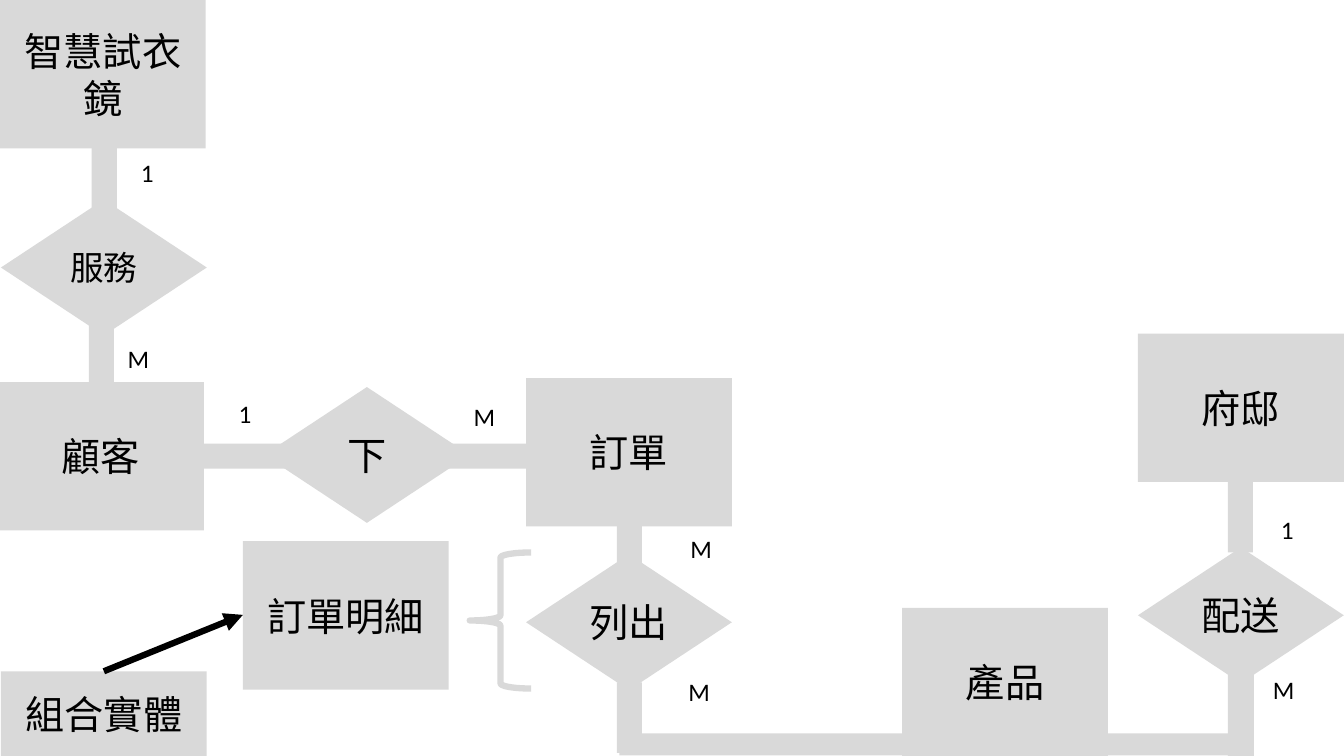
from typing import NamedTuple

from lxml import etree
from pptx import Presentation
from pptx.dml.color import RGBColor
from pptx.enum.shapes import MSO_CONNECTOR, MSO_SHAPE
from pptx.enum.text import MSO_ANCHOR, MSO_AUTO_SIZE, PP_ALIGN
from pptx.oxml.ns import qn
from pptx.util import Pt

RECTANGLE = MSO_SHAPE.RECTANGLE
DECISION = MSO_SHAPE.FLOWCHART_DECISION
LEFT_BRACE = MSO_SHAPE.LEFT_BRACE
STRAIGHT = MSO_CONNECTOR.STRAIGHT
MIDDLE = MSO_ANCHOR.MIDDLE
CENTER = PP_ALIGN.CENTER
LEFT = PP_ALIGN.LEFT
FIT_SHAPE = MSO_AUTO_SIZE.SHAPE_TO_FIT_TEXT

FONT = "Calibri"
GRAY = "D9D9D9"
BLACK = "000000"
NODE_WIDTH = 147
ENTITY_HEIGHT = 106
DECISION_HEIGHT = 97
LABEL_WIDTH, LABEL_HEIGHT = 67, 29
STROKE = 4.5


class Node(NamedTuple):
    text: str
    left: float
    top: float
    height: float = ENTITY_HEIGHT
    size: float = 28


class Bar(NamedTuple):
    left: float
    top: float
    width: float
    height: float


class Label(NamedTuple):
    text: str
    left: float
    top: float


ENTITIES = [
    Node("智慧試衣鏡", 0, 0),
    Node("顧客", -1.4, 272.9),
    Node("訂單", 375.8, 270),
    Node("產品", 644.4, 434.2),
    Node("府邸", 812.9, 238.3),
    Node("訂單明細", 173.5, 386.6),
    Node("組合實體", 0.7, 479.5, 60.5),
]

RELATIONSHIPS = [
    Node("服務", 0.7, 142.6, DECISION_HEIGHT, 24),
    Node("下", 188.6, 276.5, DECISION_HEIGHT),
    Node("列出", 375.8, 396, DECISION_HEIGHT),
    Node("配送", 812.9, 391, DECISION_HEIGHT),
]

BARS = [
    Bar(65.5, 105.8, 18, 52.6),
    Bar(63.4, 229, 18, 79.9),
    Bar(106.6, 316.8, 106, 18),
    Bar(290.9, 316.8, 106, 18),
    Bar(440.6, 337.7, 18, 69.1),
    Bar(440.6, 487.4, 18, 50.4),
    Bar(442.4, 523.8, 202.3, 15.8),
    Bar(700.2, 523.8, 195.1, 15.8),
    Bar(877, 479.5, 18.7, 60.5),
    Bar(877, 342.7, 18, 51.8),
]

LABELS = [
    Label("1", 93.6, 108.7),
    Label("M", 84.2, 241.9),
    Label("1", 163.4, 280.8),
    Label("M", 331.2, 283),
    Label("M", 486, 377.3),
    Label("M", 484.6, 479.5),
    Label("1", 907.9, 363.6),
    Label("M", 902.2, 478.1),
]


def color(value: str) -> RGBColor:
    return RGBColor.from_string(value)


def write(shape, text: str, size: float, alignment) -> None:
    paragraph = shape.text_frame.paragraphs[0]
    paragraph.alignment = alignment
    run = paragraph.add_run()
    run.text = text
    run.font.name = FONT
    run.font.size = Pt(size)
    run.font.color.rgb = color(BLACK)


def add_block(slide, kind, left: float, top: float, width: float, height: float):
    shape = slide.shapes.add_shape(kind, Pt(left), Pt(top), Pt(width), Pt(height))
    shape.shadow.inherit = False
    shape.fill.solid()
    shape.fill.fore_color.rgb = color(GRAY)
    shape.line.fill.background()
    return shape


def add_node(slide, kind, node: Node) -> None:
    shape = add_block(slide, kind, node.left, node.top, NODE_WIDTH, node.height)
    shape.text_frame.word_wrap = True
    shape.text_frame.vertical_anchor = MIDDLE
    write(shape, node.text, node.size, CENTER)


def add_label(slide, label: Label) -> None:
    box = slide.shapes.add_textbox(
        Pt(label.left), Pt(label.top), Pt(LABEL_WIDTH), Pt(LABEL_HEIGHT))
    box.text_frame.word_wrap = True
    box.text_frame.auto_size = FIT_SHAPE
    write(box, label.text, 18, LEFT)


def add_brace(slide) -> None:
    brace = add_block(slide, LEFT_BRACE, 335.5, 394.6, 43.9, 97.2)
    brace.fill.background()
    brace.line.color.rgb = color(GRAY)
    brace.line.width = Pt(STROKE)


def add_arrow(slide) -> None:
    arrow = slide.shapes.add_connector(
        STRAIGHT, Pt(74.2), Pt(479.5), Pt(173.5), Pt(439.2))
    arrow.line.color.rgb = color(BLACK)
    arrow.line.width = Pt(STROKE)
    properties = arrow.line._get_or_add_ln()
    etree.SubElement(properties, qn("a:tailEnd"), type="triangle")
    etree.SubElement(arrow._element.spPr, qn("a:effectLst"))


presentation = Presentation()
presentation.slide_width = Pt(960)
presentation.slide_height = Pt(540)
slide = presentation.slides.add_slide(presentation.slide_layouts[6])

for bar in BARS:
    add_block(slide, RECTANGLE, *bar)
for relationship in RELATIONSHIPS:
    add_node(slide, DECISION, relationship)
for entity in ENTITIES:
    add_node(slide, RECTANGLE, entity)
add_brace(slide)
add_arrow(slide)
for label in LABELS:
    add_label(slide, label)

presentation.save("out.pptx")
